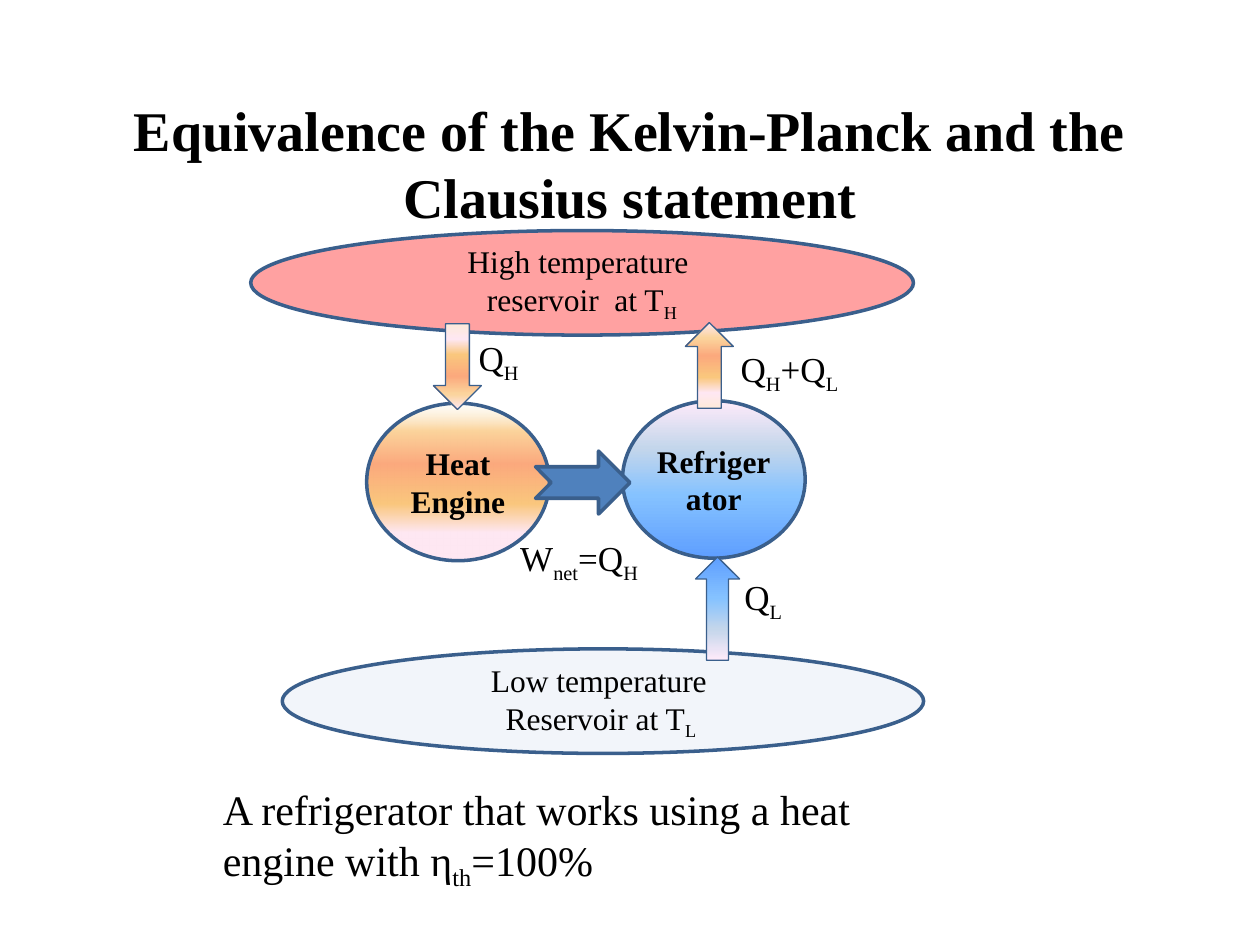
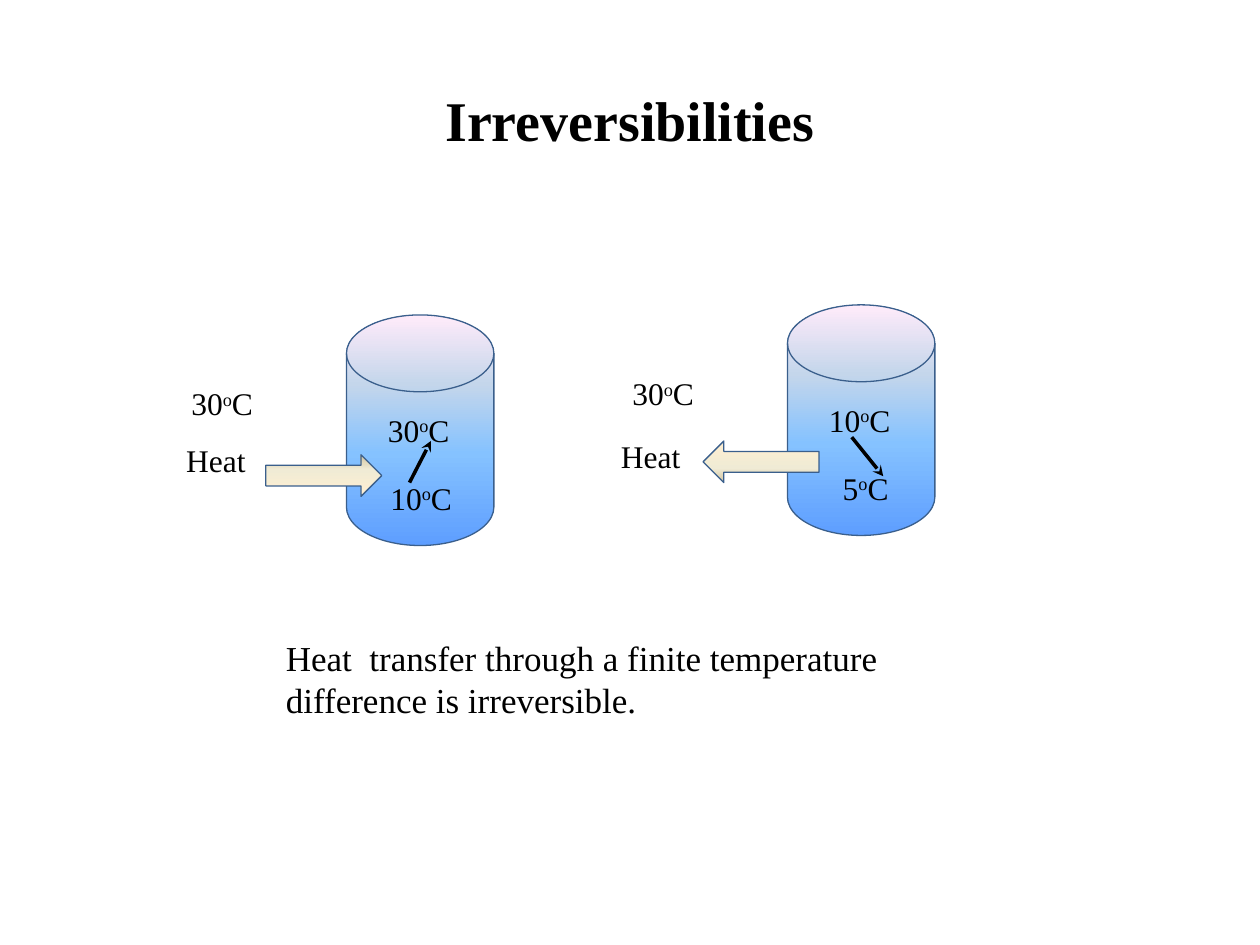
from dataclasses import dataclass
from typing import NamedTuple

from lxml import etree
from pptx import Presentation
from pptx.dml.color import RGBColor
from pptx.enum.shapes import MSO_CONNECTOR, MSO_SHAPE
from pptx.enum.text import MSO_ANCHOR, MSO_AUTO_SIZE, PP_ALIGN
from pptx.oxml.ns import qn
from pptx.util import Inches, Pt

# Shared look
FONT = "Times New Roman"
BLACK = RGBColor(0x00, 0x00, 0x00)
OUTLINE = RGBColor(0x3A, 0x5F, 0x8C)
WORK_BLUE = RGBColor(0x4F, 0x81, 0xBD)
HOT_RED = RGBColor(0xFF, 0x00, 0x00)
COLD_BLUE = RGBColor(0xDC, 0xE6, 0xF2)
SKY = RGBColor(0x5E, 0x9E, 0xFF)
LIGHT_SKY = RGBColor(0x85, 0xC2, 0xFF)
MIST = RGBColor(0xC4, 0xD6, 0xEB)
BLUSH = RGBColor(0xFF, 0xEB, 0xFA)
PEACH = RGBColor(0xFD, 0xEA, 0xDA)
ROSE = RGBColor(0xFE, 0xE7, 0xF2)
AMBER = RGBColor(0xFA, 0xC7, 0x7D)
CORAL = RGBColor(0xFB, 0xA9, 0x7D)
APRICOT = RGBColor(0xFB, 0xD4, 0x9C)
CREAM = RGBColor(0xFB, 0xEA, 0xC7)
PARCHMENT = RGBColor(0xFF, 0xEF, 0xD1)
SAND = RGBColor(0xF0, 0xEB, 0xD5)
TAN = RGBColor(0xD1, 0xC3, 0x9F)

LEFT, CENTER = PP_ALIGN.LEFT, PP_ALIGN.CENTER
TOP, MIDDLE = MSO_ANCHOR.TOP, MSO_ANCHOR.MIDDLE
NO_AUTOFIT = MSO_AUTO_SIZE.NONE
STRAIGHT = MSO_CONNECTOR.STRAIGHT
ELLIPSE, CIRCLE = MSO_SHAPE.OVAL, MSO_SHAPE.FLOWCHART_CONNECTOR
UP_ARROW, RIGHT_ARROW = MSO_SHAPE.UP_ARROW, MSO_SHAPE.RIGHT_ARROW
NOTCHED_ARROW = MSO_SHAPE.NOTCHED_RIGHT_ARROW
CYLINDER = MSO_SHAPE.FLOWCHART_MAGNETIC_DISK
TITLE_ONLY = 5
THICK, THIN = 2, 0.75


class Box(NamedTuple):
    left: float
    top: float
    width: float
    height: float


class Span(NamedTuple):
    text: str
    baseline: int = 0


class Stop(NamedTuple):
    position: int
    color: RGBColor
    opacity: int = 100


@dataclass(frozen=True)
class Gradient:
    stops: tuple[Stop, ...]
    angle: int = 270


@dataclass(frozen=True)
class Tank:
    left: float
    top: float
    upper: str
    lower: str
    lower_box: Box
    heat_box: Box
    arrow_box: Box
    arrow_turn: int
    change: tuple[float, float, float, float]


Paragraph = list[Span]

COLD_STOPS = (Stop(0, SKY), Stop(40, LIGHT_SKY), Stop(70, MIST), Stop(100, BLUSH))
WARM_STOPS = (Stop(18, ROSE), Stop(36, AMBER), Stop(61, CORAL), Stop(82, APRICOT))
COLD = Gradient(COLD_STOPS)
COLD_DOWN = Gradient(COLD_STOPS, 90)
HOT = Gradient((Stop(0, PEACH), *WARM_STOPS, Stop(100, ROSE)))
ENGINE = Gradient((*WARM_STOPS, Stop(100, CREAM, 0), Stop(100, ROSE)))
HEAT = Gradient((Stop(0, PARCHMENT), Stop(65, SAND), Stop(100, TAN)))


def sub(text: str) -> Span:
    return Span(text, -25)


def degrees(value: str) -> Paragraph:
    return [Span(value), Span("o", 30), Span("C")]


# Drawing helpers
def lengths(box: Box) -> list[int]:
    return [Inches(value) for value in box]


def write(frame, paragraphs: list[Paragraph], size: int,
          align=LEFT, bold: bool = False) -> None:
    for index, spans in enumerate(paragraphs):
        para = frame.add_paragraph() if index else frame.paragraphs[0]
        para.alignment = align
        for span in spans:
            run = para.add_run()
            run.text = span.text
            run.font.name = FONT
            run.font.size = Pt(size)
            run.font.bold = bold
            run.font.color.rgb = BLACK
            if span.baseline:
                run.font._element.set("baseline", str(span.baseline * 1000))


def add_opacity(color_element, percent: int) -> None:
    etree.SubElement(color_element, qn("a:alpha"), val=str(percent * 1000))


def fill_gradient(shape, gradient: Gradient) -> None:
    shape.fill.gradient()
    fill = shape._element.spPr.find(qn("a:gradFill"))
    fill.set("rotWithShape", "1")
    stop_list = fill.find(qn("a:gsLst"))
    for old_stop in list(stop_list):
        stop_list.remove(old_stop)
    for stop in gradient.stops:
        item = etree.SubElement(stop_list, qn("a:gs"), pos=str(stop.position * 1000))
        color = etree.SubElement(item, qn("a:srgbClr"), val=str(stop.color))
        if stop.opacity < 100:
            add_opacity(color, stop.opacity)
    fill.find(qn("a:lin")).set("ang", str(gradient.angle * 60000))


def add_figure(slide, kind, box: Box, fill: Gradient | RGBColor, line: float = THIN,
               turn: int = 0, opacity: int = 100):
    shape = slide.shapes.add_shape(kind, *lengths(box))
    shape.shadow.inherit = False
    shape.rotation = turn
    shape.line.color.rgb = OUTLINE
    shape.line.width = Pt(line)
    if isinstance(fill, Gradient):
        fill_gradient(shape, fill)
    else:
        shape.fill.solid()
        shape.fill.fore_color.rgb = fill
        if opacity < 100:
            add_opacity(shape._element.spPr.find(qn("a:solidFill"))[0], opacity)
    return shape


def add_body(slide, kind, box: Box, fill: Gradient | RGBColor,
             paragraphs: list[Paragraph], bold: bool = False, opacity: int = 100) -> None:
    frame = add_figure(slide, kind, box, fill, THICK, opacity=opacity).text_frame
    frame.margin_left = frame.margin_right = frame.margin_top = frame.margin_bottom = 0
    frame.vertical_anchor = MIDDLE
    frame.word_wrap = True
    write(frame, paragraphs, 18, CENTER, bold)


def add_label(slide, box: Box, paragraphs: list[Paragraph], size: int,
              wrap: bool = True) -> None:
    frame = slide.shapes.add_textbox(*lengths(box)).text_frame
    frame.word_wrap = wrap
    write(frame, paragraphs, size)


def add_change_arrow(slide, ends: tuple[float, float, float, float]) -> None:
    line = slide.shapes.add_connector(STRAIGHT, *(Inches(end) for end in ends))
    line.line.color.rgb = BLACK
    line.line.width = Pt(THICK)
    etree.SubElement(line.line._get_or_add_ln(), qn("a:tailEnd"), type="stealth")
    etree.SubElement(line._element.spPr, qn("a:effectLst"))


def add_titled_slide(deck, text: str, top: float):
    slide = deck.slides.add_slide(deck.slide_layouts[TITLE_ONLY])
    title = slide.shapes.title
    title.left, title.top, title.width, title.height = lengths(Box(0.5, top, 9, 0.97))
    frame = title.text_frame
    frame.auto_size = NO_AUTOFIT
    frame.vertical_anchor = TOP
    write(frame, [[Span(text)]], 32, CENTER, bold=True)
    return slide


# Slide 1: heat engine driving a refrigerator
def build_equivalence(deck) -> None:
    slide = add_titled_slide(
        deck, "Equivalence of the Kelvin-Planck and the Clausius statement", 0.71)

    # Reservoirs and refrigerator
    add_body(slide, ELLIPSE, Box(1.99, 1.83, 5.26, 0.83), HOT_RED,
             [[Span("High temperature ")], [Span("reservoir  at T"), sub("H")]], opacity=37)
    add_body(slide, ELLIPSE, Box(2.24, 5.15, 5.09, 0.83), COLD_BLUE,
             [[Span("Low temperature ")], [Span("Reservoir at T"), sub("L ")]], opacity=37)
    add_body(slide, CIRCLE, Box(4.94, 3.18, 1.45, 1.25), COLD,
             [[Span("Refrigerator")]], bold=True)
    add_label(slide, Box(5.78, 2.71, 1.47, 0.44),
              [[Span("Q"), sub("H"), Span("+Q"), sub("L")]], 20)
    add_label(slide, Box(5.81, 4.52, 0.53, 0.44), [[Span("Q"), sub("L")]], 20, wrap=False)
    add_figure(slide, UP_ARROW, Box(5.52, 4.42, 0.35, 0.82), COLD_DOWN)
    add_figure(slide, UP_ARROW, Box(5.44, 2.56, 0.38, 0.68), HOT)

    # Heat engine and its work
    add_body(slide, CIRCLE, Box(2.91, 3.2, 1.45, 1.25), ENGINE,
             [[Span("Heat Engine")]], bold=True)
    add_label(slide, Box(3.7, 2.62, 0.75, 0.44), [[Span("Q"), sub("H")]], 20)
    add_label(slide, Box(4.03, 4.21, 1.29, 0.44),
              [[Span("W"), sub("net"), Span("=Q"), sub("H")]], 20, wrap=False)
    add_figure(slide, UP_ARROW, Box(3.44, 2.57, 0.38, 0.68), HOT, turn=180)
    add_label(slide, Box(1.67, 6.17, 6.58, 0.91),
              [[Span("A refrigerator that works using a heat")],
               [Span("engine with η"), sub("th"), Span("=100%")]], 24)
    add_figure(slide, NOTCHED_ARROW, Box(4.25, 3.58, 0.75, 0.5), WORK_BLUE, THICK)


# Slide 2: heat flowing into and out of a tank
TANKS = (
    Tank(2.75, 2.5, "30", "10", Box(3, 3.75, 0.86, 0.4), Box(1.38, 3.45, 0.86, 0.4),
         Box(2.11, 3.61, 0.92, 0.33), 0, (3.25, 3.83, 3.42, 3.5)),
    Tank(6.25, 2.42, "10", "5", Box(6.59, 3.67, 0.67, 0.4), Box(4.83, 3.42, 0.86, 0.4),
         Box(5.58, 3.5, 0.92, 0.33), 180, (6.76, 3.47, 7.01, 3.78)),
)


def add_tank(slide, tank: Tank) -> None:
    add_figure(slide, CYLINDER, Box(tank.left, tank.top, 1.17, 1.83), COLD)
    add_label(slide, Box(tank.left + 0.23, tank.top + 0.71, 0.86, 0.4),
              [degrees(tank.upper)], 18)
    add_label(slide, tank.lower_box, [degrees(tank.lower)], 18)
    add_label(slide, Box(tank.left - 1.33, tank.top + 0.5, 0.86, 0.4), [degrees("30")], 18)
    add_label(slide, tank.heat_box, [[Span("Heat")]], 18)
    add_figure(slide, RIGHT_ARROW, tank.arrow_box, HEAT, turn=tank.arrow_turn)
    add_change_arrow(slide, tank.change)


def build_irreversibilities(deck) -> None:
    slide = add_titled_slide(deck, "Irreversibilities", 0.63)
    for tank in TANKS:
        add_tank(slide, tank)
    add_label(slide, Box(2.17, 5, 5.92, 0.77),
              [[Span("Heat  transfer through a finite temperature "
                     "difference is irreversible.")]], 20)


def main() -> None:
    deck = Presentation()
    deck.slide_width, deck.slide_height = Inches(10), Inches(7.5)
    build_equivalence(deck)
    build_irreversibilities(deck)
    deck.save("out.pptx")


if __name__ == "__main__":
    main()
